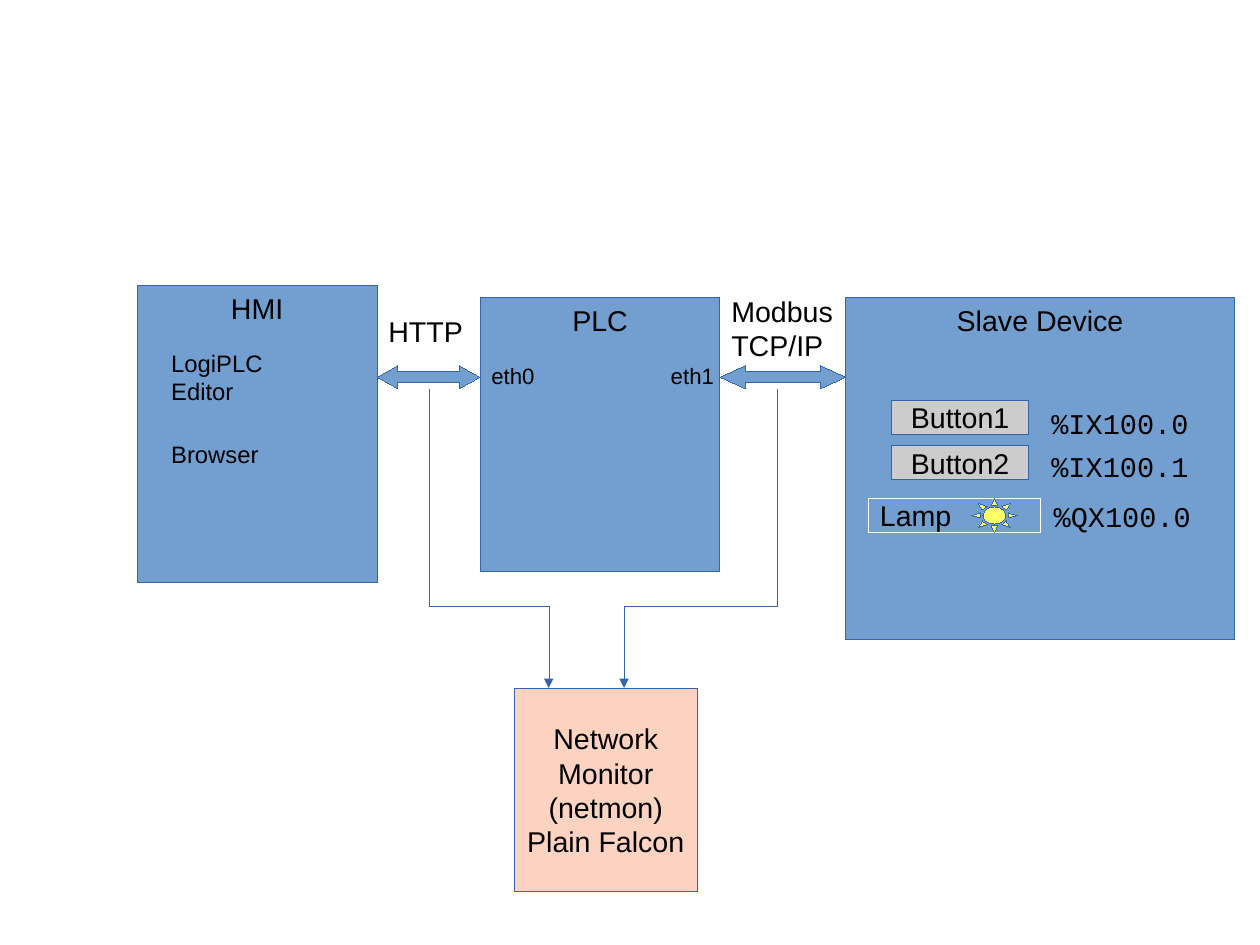
from dataclasses import dataclass

from lxml.etree import SubElement
from pptx import Presentation
from pptx.dml.color import RGBColor as RGB
from pptx.enum.shapes import MSO_CONNECTOR as Link, MSO_SHAPE as Kind
from pptx.enum.text import MSO_ANCHOR as Anchor, PP_ALIGN as Align
from pptx.oxml.ns import qn
from pptx.util import Cm, Inches, Pt

CELL = 0.1  # inches per grid column and row


@dataclass(frozen=True)
class Theme:
    sans: str = "Arial"
    mono: str = "Courier New"
    head: int = 18
    note: int = 15
    port: int = 14
    ink: str = "000000"
    edge: str = "3465A4"
    node: str = "729FCF"
    key: str = "CCCCCC"
    glow: str = "FFFF66"
    rim: str = "FFFFFF"
    watch: str = "FCD3C1"


@dataclass(frozen=True)
class Box:
    """Columns and rows on the slide grid."""
    x: float
    y: float
    w: float
    h: float

    def sub(self, x, y, w, h):
        return Box(self.x + x, self.y + y, w, h)

    def emu(self):
        return [Inches(n * CELL) for n in (self.x, self.y, self.w, self.h)]


T = Theme()


def write(frame, lines, size, font=T.sans, align=Align.LEFT):
    for i, line in enumerate(lines):
        para = frame.paragraphs[0] if i == 0 else frame.add_paragraph()
        para.alignment = align
        run = para.add_run()
        run.text = line
        run.font.name, run.font.size = font, Pt(size)
        run.font.color.rgb = RGB.from_string(T.ink)


def label(slide, box, text, size=T.head, font=T.sans):
    frame = slide.shapes.add_textbox(*box.emu()).text_frame
    frame.word_wrap = True
    write(frame, [text], size, font)


def hair(shape, color):
    """Gives the shape a hairline and returns its line element."""
    shape.line.color.rgb = RGB.from_string(color)
    line = shape._element.spPr.find(qn("a:ln"))
    line.set("w", "0")
    return line


def draw(slide, box, fill, kind=Kind.RECTANGLE, edge=T.edge, lines=(),
         anchor=Anchor.MIDDLE, align=Align.CENTER):
    shape = slide.shapes.add_shape(kind, *box.emu())
    shape.shadow.inherit = False
    if fill:
        shape.fill.solid()
        shape.fill.fore_color.rgb = RGB.from_string(fill)
    else:
        shape.fill.background()
    hair(shape, edge)
    frame = shape.text_frame
    frame.word_wrap, frame.vertical_anchor = False, anchor
    write(frame, lines, T.head, align=align)
    return shape


def node(slide, box, title):
    draw(slide, box, T.node, lines=[title], anchor=Anchor.TOP)


def hmi(slide, box):
    node(slide, box, "HMI")
    for row, tool in ((5, "LogiPLC Editor"), (13, "Browser")):
        label(slide, box.sub(2, row, 13, 7), tool, T.note)


def plc(slide, box):
    node(slide, box, "PLC")
    for col, port in ((0, "eth0"), (15.7, "eth1")):
        label(slide, box.sub(col, 5.2, 7, 3.2), port, T.port)


def slave(slide, box):
    node(slide, box, "Slave Device")
    for i in range(2):
        draw(slide, box.sub(4, 9 + 4 * i, 12, 3), T.key, lines=[f"Button{i + 1}"])
    lamp = box.sub(2, 17.6, 15, 3)
    draw(slide, lamp, None, edge=T.rim, lines=["Lamp"], align=Align.LEFT)
    draw(slide, lamp.sub(9, 0, 4, 3), T.glow, Kind.SUN)
    for col, row, tag in ((17, 9, "%IX100.0"), (17, 12.8, "%IX100.1"),
                          (17.2, 17.2, "%QX100.0")):
        label(slide, box.sub(col, row, 15, 4), tag, font=T.mono)


def bus(slide, box, name, rise, wide):
    """Two-way arrow with its protocol name above."""
    arrow = draw(slide, box, T.node, Kind.LEFT_RIGHT_ARROW)
    arrow.adjustments[0] = 0.5
    arrow.adjustments[1] = 0.9 if box.w < 10 else 1.1
    label(slide, box.sub(0, -rise, wide, rise), name)


def tap(slide, start, end, bend):
    """Elbow that leaves downwards, turns at the share bend, and ends in an arrow."""
    (x1, y1), (x2, y2) = start, end
    run, rise = y2 - y1, abs(x2 - x1)
    x, y, w, h = Box((x1 + x2 - run) / 2, (y1 + y2 - rise) / 2, run, rise).emu()
    link = slide.shapes.add_connector(Link.ELBOW, x, y, x + w, y + h)
    line = hair(link, T.edge)
    props = link._element.spPr
    turn = props.find(qn("a:xfrm"))
    right = x2 > x1
    turn.set("rot", str((270 if right else 90) * 60000))
    if right:
        turn.set("flipH", "1")
    geom = props.find(qn("a:prstGeom"))
    stops = geom.find(qn("a:avLst"))
    if stops is None:
        stops = SubElement(geom, qn("a:avLst"))
    SubElement(stops, qn("a:gd"), name="adj1", fmla=f"val {round(bend * 100000)}")
    SubElement(line, qn("a:tailEnd"), type="triangle")
    SubElement(props, qn("a:effectLst"))


def watch(slide, box):
    draw(slide, box, T.watch,
         lines=["Network", "Monitor", "(netmon)", "Plain Falcon"])
    for col, start in ((3, (37.5, 34)), (9.6, (68, 34))):
        tap(slide, start, (box.x + col, box.y), 0.725)


def main():
    deck = Presentation()
    deck.slide_width, deck.slide_height = Cm(28), Cm(21)
    slide = deck.slides.add_slide(deck.slide_layouts[6])
    hmi(slide, Box(12, 25, 21, 26))
    bus(slide, Box(33, 32, 9, 2), "HTTP", 5, 9)
    plc(slide, Box(42, 26, 21, 24))
    slave(slide, Box(74, 26, 34, 30))
    bus(slide, Box(63, 32, 11, 2), "Modbus TCP/IP", 6.8, 12)
    watch(slide, Box(45, 60.2, 16, 17.8))
    deck.save("out.pptx")


if __name__ == "__main__":
    main()
